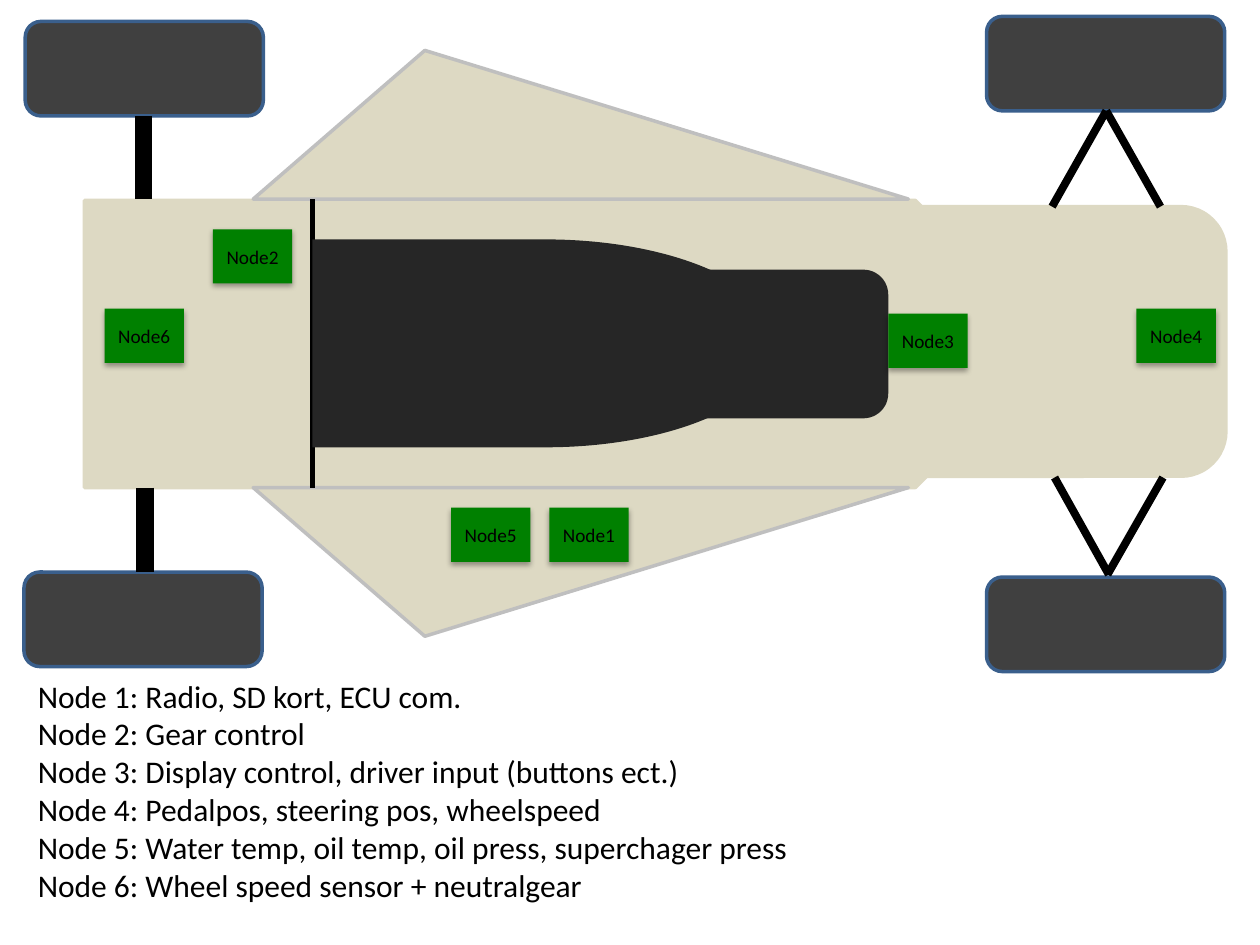
"""Build a slide mapping the sensor nodes on a race car seen from above."""
from dataclasses import dataclass

from lxml import etree
from pptx import Presentation
from pptx import util as u
from pptx.dml.color import RGBColor
from pptx.enum import shapes, text
from pptx.oxml import ns


@dataclass(frozen=True)
class Theme:
    """Hold the colours, font and type sizes of the slide."""
    body: str = "DDD9C3"
    pod_edge: str = "BFBFBF"
    tyre: str = "404040"
    tyre_edge: str = "3A5F8C"
    cockpit: str = "262626"
    node: str = "008000"
    ink: str = "000000"
    font: str = "Calibri"
    node_size: int = 11
    legend_size: int = 18


THEME = Theme()
SHAPE = shapes.MSO_SHAPE
TYRE_SIZE = (1.89, 0.75)
NODE_SIZE = (0.63, 0.43)
POD_SIZE = (5.2, 1.18)
TYRES = [(7.83, 0.13), (7.83, 4.58), (0.2, 0.17), (0.19, 4.54)]
WISHBONES = [
    (8.78, 0.88, 8.35, 1.64), (9.21, 1.64, 8.78, 0.88),
    (8.37, 3.79, 8.8, 4.56), (8.79, 4.56, 9.23, 3.79),
]
AXLES = [(1.14, 0.92, 1.14, 1.58), (1.15, 3.87, 1.15, 4.54)]
NODES = {
    "Node1": (4.36, 4.03), "Node5": (3.58, 4.03), "Node2": (1.69, 1.82),
    "Node4": (9.02, 2.45), "Node3": (7.05, 2.49), "Node6": (0.83, 2.45),
}
LEGEND = [
    "Node 1: Radio, SD kort, ECU com.",
    "Node 2: Gear control",
    "Node 3: Display control, driver input (buttons ect.)",
    "Node 4: Pedalpos, steering pos, wheelspeed",
    "Node 5: Water temp, oil temp, oil press, superchager press",
    "Node 6: Wheel speed sensor + neutralgear",
]


def rgb(value):
    """Turn a hex string into a colour."""
    return RGBColor.from_string(value)


def add_part(slide, kind, box, fill, edge=None, adjust=()):
    """Add a filled car part, with an edge if one is given."""
    part = slide.shapes.add_shape(kind, *map(u.Inches, box))
    part.shadow.inherit = False
    part.fill.solid()
    part.fill.fore_color.rgb = rgb(fill)
    if edge:
        part.line.color.rgb = rgb(edge)
        part.line.width = u.Pt(2)
    else:
        part.line.fill.background()
    for index, value in enumerate(adjust):
        part.adjustments[index] = value
    return part


def add_rod(slide, ends, width):
    """Add a straight black rod."""
    rod = slide.shapes.add_connector(
        shapes.MSO_CONNECTOR.STRAIGHT, *map(u.Inches, ends))
    rod.line.color.rgb = rgb(THEME.ink)
    rod.line.width = u.Pt(width)
    etree.SubElement(rod._element.spPr, ns.qn("a:effectLst"))


def add_side_pod(slide, top, flipped=False):
    """Add a triangular side pod, pointing down when flipped."""
    pod = add_part(slide, SHAPE.ISOSCELES_TRIANGLE, (2.01, top, *POD_SIZE),
                   THEME.body, THEME.pod_edge, [0.262])
    if flipped:
        pod._element.spPr.xfrm.set("flipV", "1")


def add_soft_shadow(part):
    """Give a part a soft shadow that falls straight down."""
    effects = part._element.spPr.find(ns.qn("a:effectLst"))
    shadow = etree.SubElement(
        effects, ns.qn("a:outerShdw"), blurRad=str(u.Pt(3.1)),
        dist=str(u.Pt(1.8)), dir="5400000", rotWithShape="0")
    colour = etree.SubElement(shadow, ns.qn("a:srgbClr"), val=THEME.ink)
    etree.SubElement(colour, ns.qn("a:alpha"), val="35000")


def add_run(paragraph, words, size):
    """Add a run in the theme font and ink."""
    run = paragraph.add_run()
    run.text = words
    run.font.name = THEME.font
    run.font.size = u.Pt(size)
    run.font.color.rgb = rgb(THEME.ink)


def add_node(slide, label, corner):
    """Add a labelled green node."""
    node = add_part(slide, SHAPE.RECTANGLE, (*corner, *NODE_SIZE), THEME.node)
    add_soft_shadow(node)
    frame = node.text_frame
    frame.margin_left = frame.margin_right = 0
    frame.vertical_anchor = text.MSO_ANCHOR.MIDDLE
    frame.paragraphs[0].alignment = text.PP_ALIGN.CENTER
    add_run(frame.paragraphs[0], label, THEME.node_size)


def fill_legend(legend):
    """Place the legend and write one plain line per node."""
    legend.left, legend.top = u.Inches(0.2), u.Inches(5.32)
    legend.width, legend.height = u.Inches(9.53), u.Inches(1.92)
    frame = legend.text_frame
    frame.auto_size = text.MSO_AUTO_SIZE.SHAPE_TO_FIT_TEXT
    for index, entry in enumerate(LEGEND):
        line = frame.add_paragraph() if index else frame.paragraphs[0]
        line.space_before = u.Pt(0)
        props = line._p.get_or_add_pPr()
        props.set("marL", "0")
        props.set("indent", "0")
        etree.SubElement(props, ns.qn("a:buNone"))
        add_run(line, entry, THEME.legend_size)


def draw_car(slide):
    """Draw the car from the chassis up to the cockpit."""
    chassis = add_part(slide, SHAPE.SNIP_2_SAME_RECTANGLE,
                       (3.23, -0.97, 2.28, 7.4), THEME.body, THEME.body,
                       [0.354, 0])
    chassis.rotation = 90
    add_side_pod(slide, 0.4)
    add_part(slide, SHAPE.ROUNDED_RECTANGLE, (6.97, 1.64, 2.76, 2.14),
             THEME.body, THEME.body)
    for corner in TYRES:
        add_part(slide, SHAPE.ROUNDED_RECTANGLE, (*corner, *TYRE_SIZE),
                 THEME.tyre, THEME.tyre_edge)
    for ends in WISHBONES:
        add_rod(slide, ends, 4.5)
    for ends in AXLES:
        add_rod(slide, ends, 10)
    add_side_pod(slide, 3.87, flipped=True)
    add_part(slide, SHAPE.ROUNDED_RECTANGLE, (2.48, 2.14, 4.57, 1.18),
             THEME.cockpit)
    add_rod(slide, (2.48, 1.58, 2.48, 3.87), 3)
    add_part(slide, SHAPE.FLOWCHART_DELAY, (2.48, 1.9, 3.7, 1.65),
             THEME.cockpit)


def main():
    """Build and save the slide."""
    deck = Presentation()
    deck.slide_width, deck.slide_height = u.Inches(10), u.Inches(7.5)
    slide = deck.slides.add_slide(deck.slide_layouts[1])
    title = slide.shapes.title._element
    title.getparent().remove(title)
    draw_car(slide)
    for label, corner in NODES.items():
        add_node(slide, label, corner)
    fill_legend(slide.placeholders[1])
    deck.save("out.pptx")


main()
